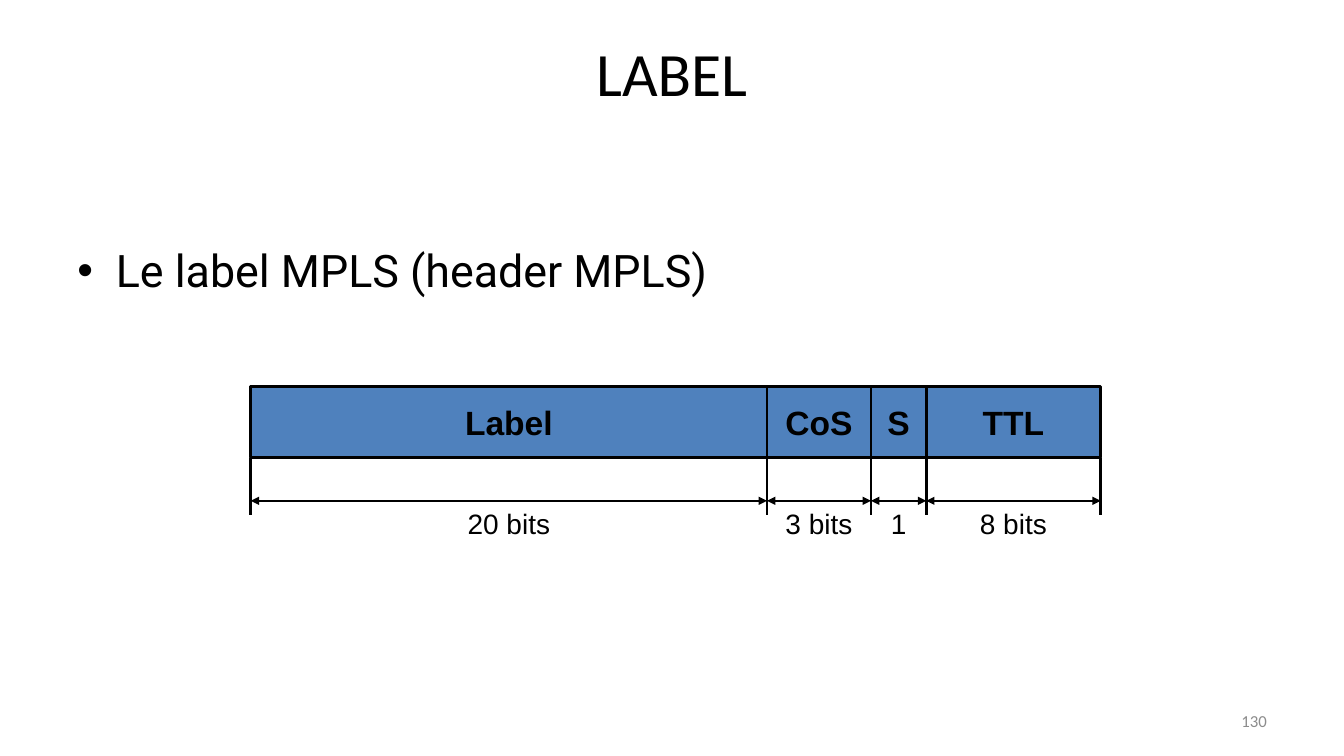
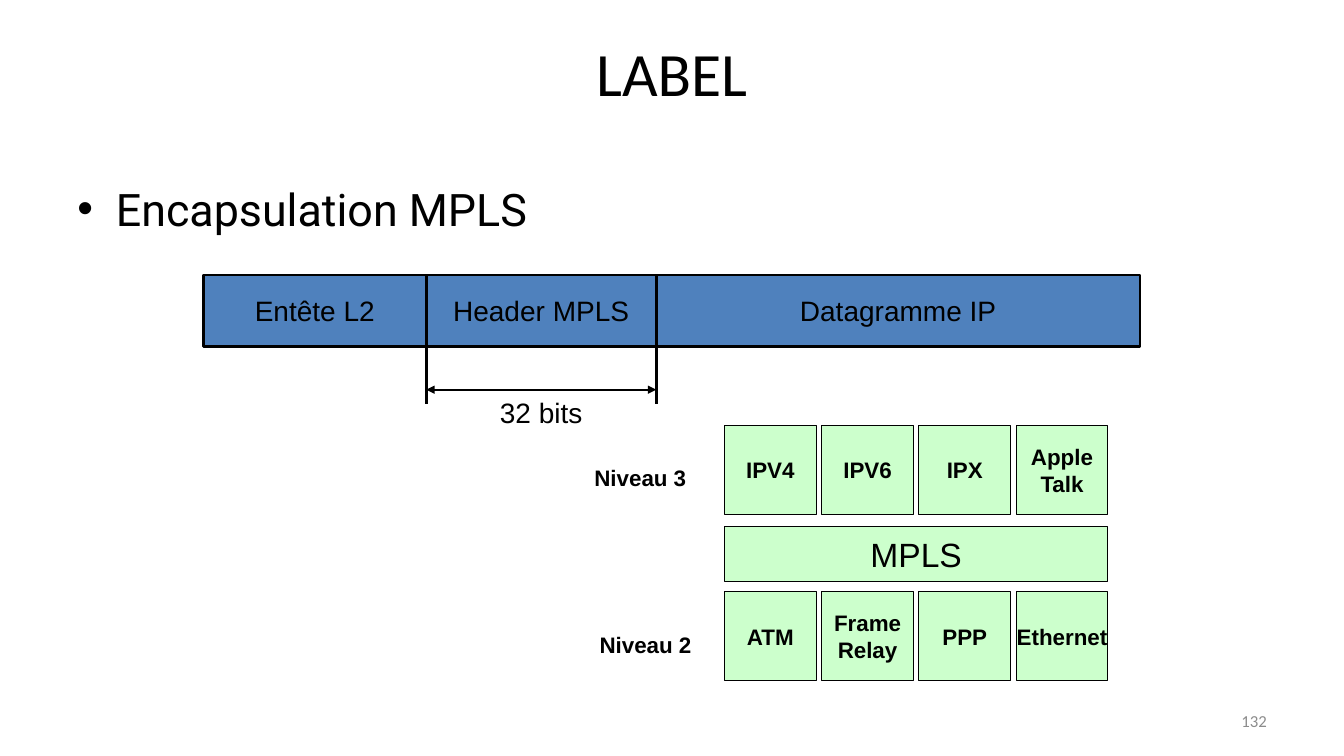
"""Build two slides on the MPLS label: its header fields and its encapsulation."""
from dataclasses import dataclass

from lxml import etree
from pptx import Presentation
from pptx.dml.color import RGBColor
from pptx.enum.shapes import MSO_CONNECTOR, MSO_SHAPE
from pptx.enum.text import MSO_ANCHOR, PP_ALIGN
from pptx.oxml.ns import qn
from pptx.util import Cm, Pt

RECTANGLE = MSO_SHAPE.RECTANGLE
STRAIGHT = MSO_CONNECTOR.STRAIGHT
TOP, MIDDLE, BOTTOM = MSO_ANCHOR.TOP, MSO_ANCHOR.MIDDLE, MSO_ANCHOR.BOTTOM
LEFT, CENTER, RIGHT = PP_ALIGN.LEFT, PP_ALIGN.CENTER, PP_ALIGN.RIGHT


@dataclass(frozen=True)
class Style:
    font: str
    size: float
    bold: bool = False
    color: str = "000000"


class Theme:
    field_fill = "4F81BD"
    protocol_fill = "CCFFCC"
    line = "000000"
    field_line, arrow_line, protocol_line = 2, 1.5, 0.75
    title = Style("Calibri", 44)
    bullet = Style("Roboto", 32)
    number = Style("Calibri", 12, color="8C8C8C")
    header_field = Style("Arial", 24, bold=True)
    packet_field = Style("Arial", 20)
    caption = Style("Arial", 20)
    layer = Style("Arial", 24)
    protocol = Style("Arial", 16, bold=True)


SLIDES = [
    {
        "title": "LABEL",
        "number": "130",
        "bullet": ("Le label MPLS (header MPLS)", 6.0),
        "bar": {
            "left": 6.32, "top": 9.73, "style": Theme.header_field,
            "fields": [("Label", 13.01, "20 bits"), ("CoS", 2.62, "3 bits"),
                       ("S", 1.39, "1"), ("TTL", 4.4, "8 bits")],
        },
    },
    {
        "title": "LABEL",
        "number": "132",
        "bullet": ("Encapsulation MPLS", 4.45),
        "bar": {
            "left": 5.13, "top": 6.93, "style": Theme.packet_field,
            "fields": [("Entête L2", 5.61, ""), ("Header MPLS", 5.8, "32 bits"),
                       ("Datagramme IP", 12.19, "")],
        },
        "stack": {
            "left": 18.26,
            "levels": [
                ("Niveau 3", 14.73, 10.72, ["IPV4", "IPV6", "IPX", "Apple\nTalk"]),
                ("Niveau 2", 14.86, 14.91, ["ATM", "Frame\nRelay", "PPP", "Ethernet"]),
            ],
            "layer": ("MPLS", 13.28, 1.37),
        },
    },
]
BAR_HEIGHT, TICK_LENGTH, ARROW_DROP, CAPTION_HEIGHT = 1.8, 1.45, 1.09, 2.21
PROTOCOL_WIDTH, PROTOCOL_HEIGHT, PROTOCOL_GAP = 2.31, 2.24, 0.14
LEVEL_DROP, LEVEL_WIDTH, LEVEL_HEIGHT = 0.86, 3.12, 0.94
BULLET_INDENT = 0.97


def write(shape, text, style, align, anchor, wrap=True):
    frame = shape.text_frame
    frame.text = text
    frame.word_wrap = wrap
    frame.vertical_anchor = anchor
    for paragraph in frame.paragraphs:
        paragraph.alignment = align
        for run in paragraph.runs:
            run.font.name = style.font
            run.font.size = Pt(style.size)
            run.font.bold = style.bold
            run.font.color.rgb = RGBColor.from_string(style.color)


def add_text(slide, place, text, style, align=LEFT, anchor=TOP):
    shape = slide.shapes.add_textbox(*map(Cm, place))
    write(shape, text, style, align, anchor)
    return shape


def add_box(slide, place, text, style, fill, line_width):
    shape = slide.shapes.add_shape(RECTANGLE, *map(Cm, place))
    shape.shadow.inherit = False
    shape.fill.solid()
    shape.fill.fore_color.rgb = RGBColor.from_string(fill)
    shape.line.color.rgb = RGBColor.from_string(Theme.line)
    shape.line.width = Pt(line_width)
    write(shape, text, style, CENTER, MIDDLE, wrap=False)


def add_line(slide, ends, width, arrows=False):
    connector = slide.shapes.add_connector(STRAIGHT, *map(Cm, ends))
    connector.line.color.rgb = RGBColor.from_string(Theme.line)
    connector.line.width = Pt(width)
    if arrows:
        outline = connector.line._get_or_add_ln()
        for tag in ("a:headEnd", "a:tailEnd"):
            etree.SubElement(outline, qn(tag), type="triangle")
    etree.SubElement(connector._element.spPr, qn("a:effectLst"))


def add_bullet(slide, text, top):
    shape = add_text(slide, (1.7, top, 30.48, 2), text, Theme.bullet)
    properties = shape.text_frame.paragraphs[0]._p.get_or_add_pPr()
    properties.set("marL", str(Cm(BULLET_INDENT)))
    properties.set("indent", str(-Cm(BULLET_INDENT)))
    etree.SubElement(properties, qn("a:buFont"), typeface="Arial")
    etree.SubElement(properties, qn("a:buChar"), char="•")


def add_bar(slide, left, top, style, fields):
    bottom = top + BAR_HEIGHT
    arrow_top = bottom + ARROW_DROP
    ticks = set()
    for name, width, caption in fields:
        right = round(left + width, 2)
        add_box(slide, (left, top, width, BAR_HEIGHT), name, style,
                Theme.field_fill, Theme.field_line)
        if caption:
            ticks.update((left, right))
            add_line(slide, (left, arrow_top, right, arrow_top), Theme.arrow_line, arrows=True)
            add_text(slide, (left, bottom, width, CAPTION_HEIGHT), caption,
                     Theme.caption, CENTER, BOTTOM)
        left = right
    for tick in sorted(ticks):
        add_line(slide, (tick, bottom, tick, bottom + TICK_LENGTH), Theme.field_line)


def add_stack(slide, left, levels, layer):
    pitch = PROTOCOL_WIDTH + PROTOCOL_GAP
    for level, level_left, top, protocols in levels:
        add_text(slide, (level_left, top + LEVEL_DROP, LEVEL_WIDTH, LEVEL_HEIGHT),
                 level, Theme.protocol)
        for column, protocol in enumerate(protocols):
            add_box(slide, (left + column * pitch, top, PROTOCOL_WIDTH, PROTOCOL_HEIGHT),
                    protocol, Theme.protocol, Theme.protocol_fill, Theme.protocol_line)
    name, top, height = layer
    columns = len(levels[0][3])
    add_box(slide, (left, top, columns * pitch - PROTOCOL_GAP, height), name,
            Theme.layer, Theme.protocol_fill, Theme.protocol_line)


def main():
    presentation = Presentation()
    presentation.slide_width, presentation.slide_height = Cm(33.87), Cm(19.05)
    blank = presentation.slide_layouts[6]
    for content in SLIDES:
        slide = presentation.slides.add_slide(blank)
        add_text(slide, (5.5, 0.76, 22.86, 3.18), content["title"], Theme.title, CENTER)
        add_bullet(slide, *content["bullet"])
        add_bar(slide, **content["bar"])
        if "stack" in content:
            add_stack(slide, **content["stack"])
        add_text(slide, (24.28, 17.65, 7.9, 1.02), content["number"],
                 Theme.number, RIGHT, MIDDLE)
    presentation.save("out.pptx")


if __name__ == "__main__":
    main()
